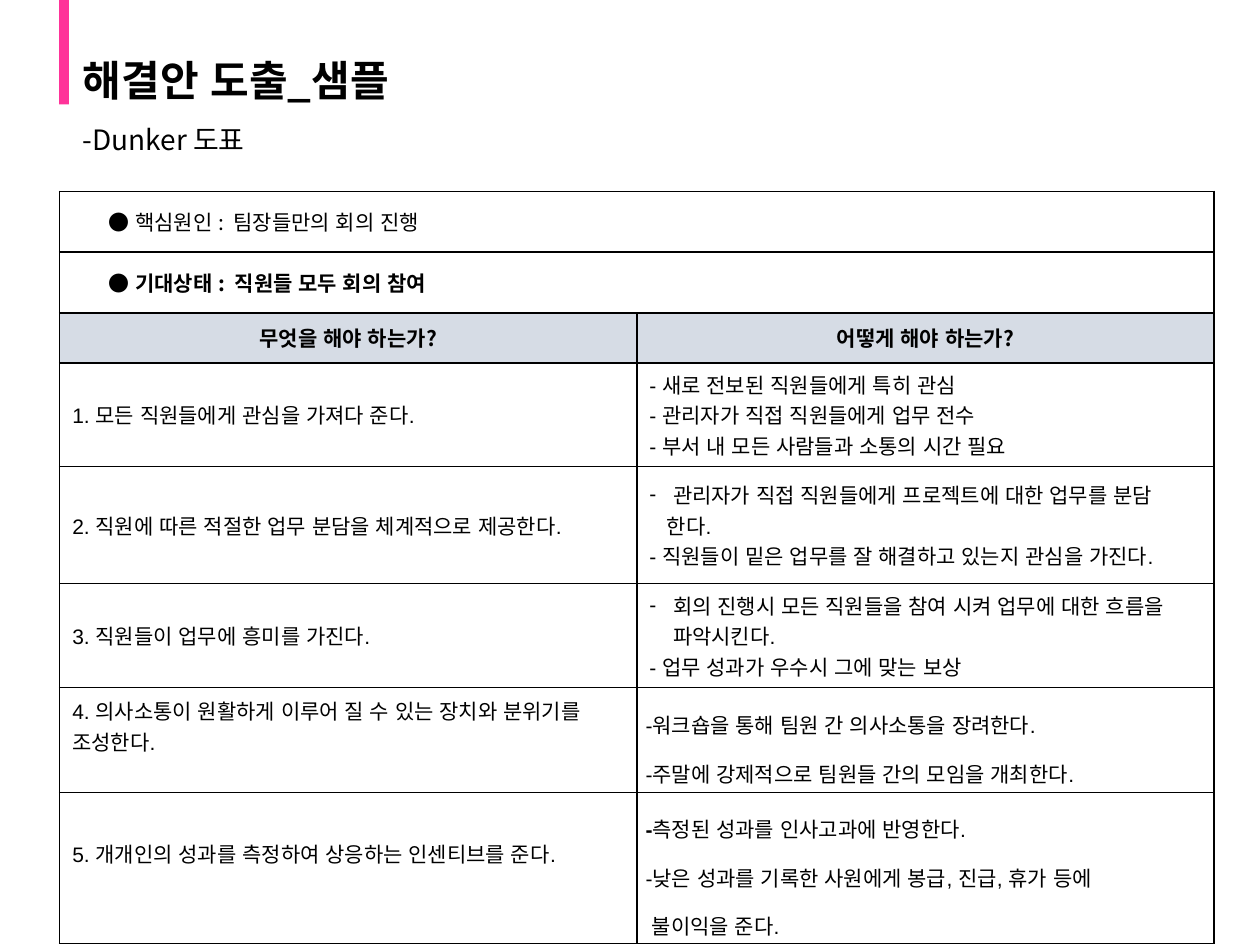
from lxml.etree import SubElement
from pptx import Presentation
from pptx.dml.color import RGBColor as Color
from pptx.enum.lang import MSO_LANGUAGE_ID as Language
from pptx.enum.shapes import MSO_SHAPE as Preset
from pptx.enum.text import MSO_ANCHOR as Anchor, PP_ALIGN as Align
from pptx.oxml.ns import qn
from pptx.util import Pt

THEME = {
    "accent": Color.from_string("FF3399"),
    "ink": Color.from_string("000000"),
    "header": Color.from_string("D6DCE5"),
    "korean": "Noto Sans CJK KR",
    "latin": "Arial",
    "title": 24,
    "subtitle": 16,
    "body": 12,
}

TITLE = "해결안 도출_샘플"
SUBTITLE = "-Dunker 도표"
BANNERS = [
    ("● 핵심원인 :  팀장들만의 회의 진행", False),
    ("● 기대상태 :  직원들 모두 회의 참여", True),
]
HEADERS = ["무엇을 해야 하는가?", "어떻게 해야 하는가?"]
ACTIONS = [
    ("1. 모든 직원들에게 관심을 가져다 준다.", [
        {"text": "- 새로 전보된 직원들에게 특히 관심"},
        {"text": "- 관리자가 직접 직원들에게 업무 전수"},
        {"text": "- 부서 내 모든 사람들과 소통의 시간 필요"},
    ]),
    ("2. 직원에 따른 적절한 업무 분담을 체계적으로 제공한다.", [
        {"text": "관리자가 직접 직원들에게 프로젝트에 대한 업무를 분담", "bullet": "-"},
        {"text": "한다.", "indent": 10},
        {"text": "- 직원들이 밑은 업무를 잘 해결하고 있는지 관심을 가진다."},
    ]),
    ("3. 직원들이 업무에 흥미를 가진다.", [
        {"text": "회의 진행시 모든 직원들을 참여 시켜 업무에 대한 흐름을 파악시킨다.", "bullet": "-"},
        {"text": "- 업무 성과가 우수시 그에 맞는 보상"},
    ]),
    ("4. 의사소통이 원활하게 이루어 질 수 있는 장치와 분위기를 조성한다.", [
        {"text": "-워크숍을 통해 팀원 간 의사소통을 장려한다."},
        {"text": "-주말에 강제적으로 팀원들 간의 모임을 개최한다."},
    ]),
    ("5. 개개인의 성과를 측정하여 상응하는 인센티브를 준다.", [
        {"lead": "-", "text": "측정된 성과를 인사고과에 반영한다."},
        {"text": "-낮은 성과를 기록한 사원에게 봉급, 진급, 휴가 등에"},
        {"text": "불이익을 준다.", "indent": 3.5},
    ]),
]
SPACIOUS_FROM = 3
TABLE_LEFT, TABLE_TOP, COLUMN_WIDTH = 34.1, 109.4, 329.8
ROW_HEIGHTS = [34.6, 34.8, 28.6, 59.4, 66.8, 59.4, 60, 86.2]


def add_run(paragraph, text, size, font, bold=False):
    run = paragraph.add_run()
    run.text = text
    run.font.size = Pt(size)
    run.font.bold = bold
    run.font.name = font
    run.font.language_id = Language.KOREAN
    run.font.color.rgb = THEME["ink"]
    SubElement(run._r.get_or_add_rPr(), qn("a:ea"), typeface=THEME["korean"])


def indent(paragraph, left, first=0):
    properties = paragraph._p.get_or_add_pPr()
    properties.set("marL", str(Pt(left)))
    properties.set("indent", str(Pt(first)))
    return properties


def add_heading(slide, box, text, size, bold, anchor, align):
    shape = slide.shapes.add_textbox(*map(Pt, box))
    frame = shape.text_frame
    frame.word_wrap = True
    frame.vertical_anchor = anchor
    paragraph = frame.paragraphs[0]
    paragraph.alignment = align
    paragraph.line_spacing = 0.9
    paragraph.space_before = Pt(10)
    add_run(paragraph, text, size, THEME["korean"], bold)


def style_cell(cell, fill=None):
    cell.vertical_anchor = Anchor.MIDDLE
    properties = cell._tc.get_or_add_tcPr()
    for side in ("lnL", "lnR", "lnT", "lnB"):
        line = SubElement(properties, qn(f"a:{side}"), w=str(Pt(1)))
        solid = SubElement(line, qn("a:solidFill"))
        SubElement(solid, qn("a:srgbClr"), val=str(THEME["ink"]))
    if fill is None:
        cell.fill.background()
    else:
        cell.fill.solid()
        cell.fill.fore_color.rgb = fill


def fill_cell(cell, items, font, bold=False, align=None, spacing=None):
    for index, item in enumerate(items):
        frame = cell.text_frame
        paragraph = frame.add_paragraph() if index else frame.paragraphs[0]
        paragraph.alignment = align
        paragraph.line_spacing = spacing
        if "bullet" in item:
            properties = indent(paragraph, 13.5, -13.5)
            SubElement(properties, qn("a:buFont"), typeface=THEME["latin"])
            SubElement(properties, qn("a:buChar"), char=item["bullet"])
        elif "indent" in item:
            indent(paragraph, item["indent"])
        if "lead" in item:
            add_run(paragraph, item["lead"], THEME["body"], font, True)
        add_run(paragraph, item["text"], THEME["body"], font, bold)


def add_plan(slide):
    frame = slide.shapes.add_table(
        len(ROW_HEIGHTS), 2, Pt(TABLE_LEFT), Pt(TABLE_TOP),
        Pt(2 * COLUMN_WIDTH), Pt(sum(ROW_HEIGHTS)))
    table = frame.table
    table.first_row = table.horz_banding = False
    for column in table.columns:
        column.width = Pt(COLUMN_WIDTH)
    header_row = len(BANNERS)
    for index, height in enumerate(ROW_HEIGHTS):
        table.rows[index].height = Pt(height)
        for cell in table.rows[index].cells:
            style_cell(cell, THEME["header"] if index == header_row else None)

    for index, (text, bold) in enumerate(BANNERS):
        cell = table.cell(index, 0)
        cell.merge(table.cell(index, 1))
        fill_cell(cell, [{"text": text, "indent": 20.6}], THEME["korean"], bold)
    for column, text in enumerate(HEADERS):
        fill_cell(table.cell(header_row, column), [{"text": text}],
                  THEME["korean"], True, Align.CENTER)
    for index, (action, methods) in enumerate(ACTIONS):
        left, right = table.rows[header_row + 1 + index].cells
        spacious = index >= SPACIOUS_FROM
        fill_cell(left, [{"text": action}], THEME["latin"])
        if spacious:
            left.margin_bottom = Pt(20)
            right.margin_left = right.margin_right = Pt(5.1)
            right.margin_top = right.margin_bottom = Pt(1.4)
        fill_cell(right, methods, THEME["latin"],
                  align=Align.JUSTIFY if spacious else None,
                  spacing=1.6 if spacious else None)


def main():
    presentation = Presentation()
    presentation.slide_width, presentation.slide_height = Pt(720), Pt(540)
    slide = presentation.slides.add_slide(presentation.slide_layouts[6])
    bar = slide.shapes.add_shape(
        Preset.RECTANGLE, Pt(33.8), Pt(0), Pt(5.6), Pt(59.6))
    bar.shadow.inherit = False
    bar.fill.solid()
    bar.fill.fore_color.rgb = THEME["accent"]
    bar.line.fill.background()
    add_heading(slide, (40.3, 30.6, 516.2, 33.8), TITLE, THEME["title"],
                True, Anchor.MIDDLE, None)
    add_heading(slide, (40.3, 68.7, 637.2, 70.6), SUBTITLE, THEME["subtitle"],
                False, Anchor.TOP, Align.JUSTIFY)
    add_plan(slide)
    presentation.save("out.pptx")


if __name__ == "__main__":
    main()
